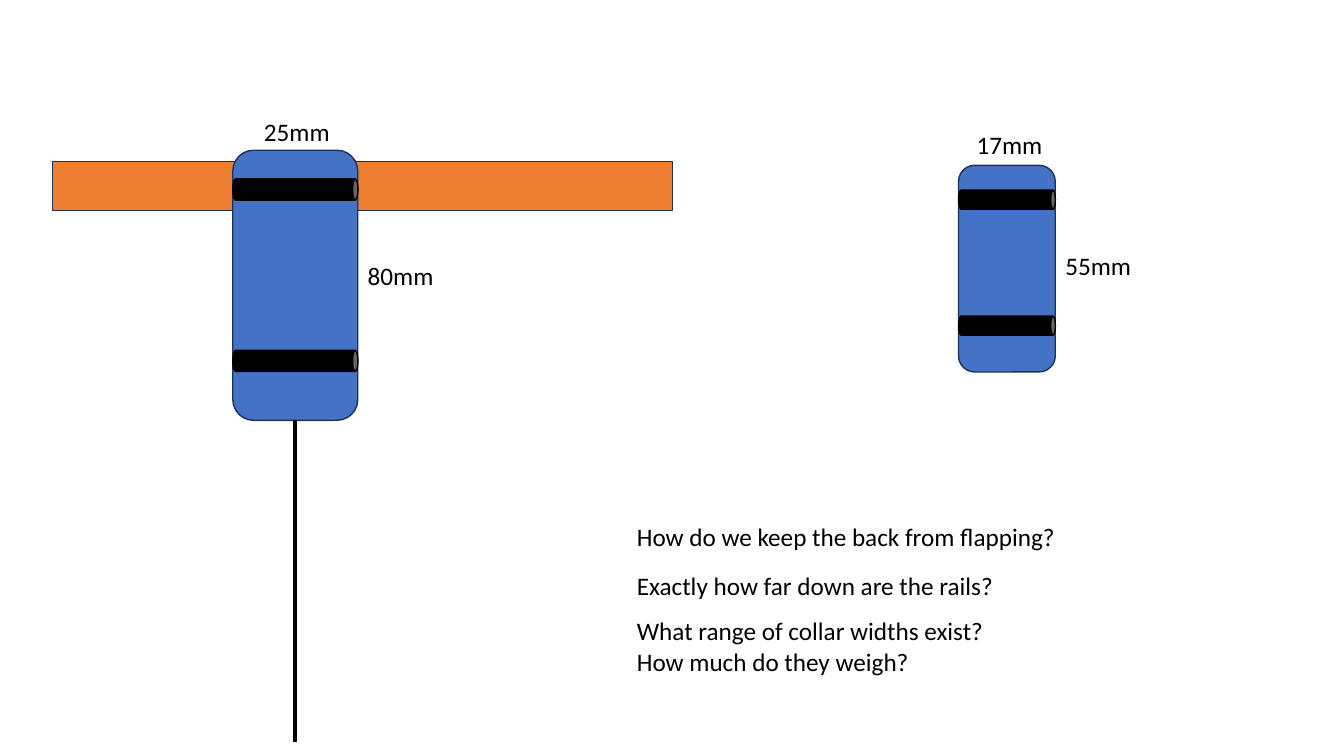
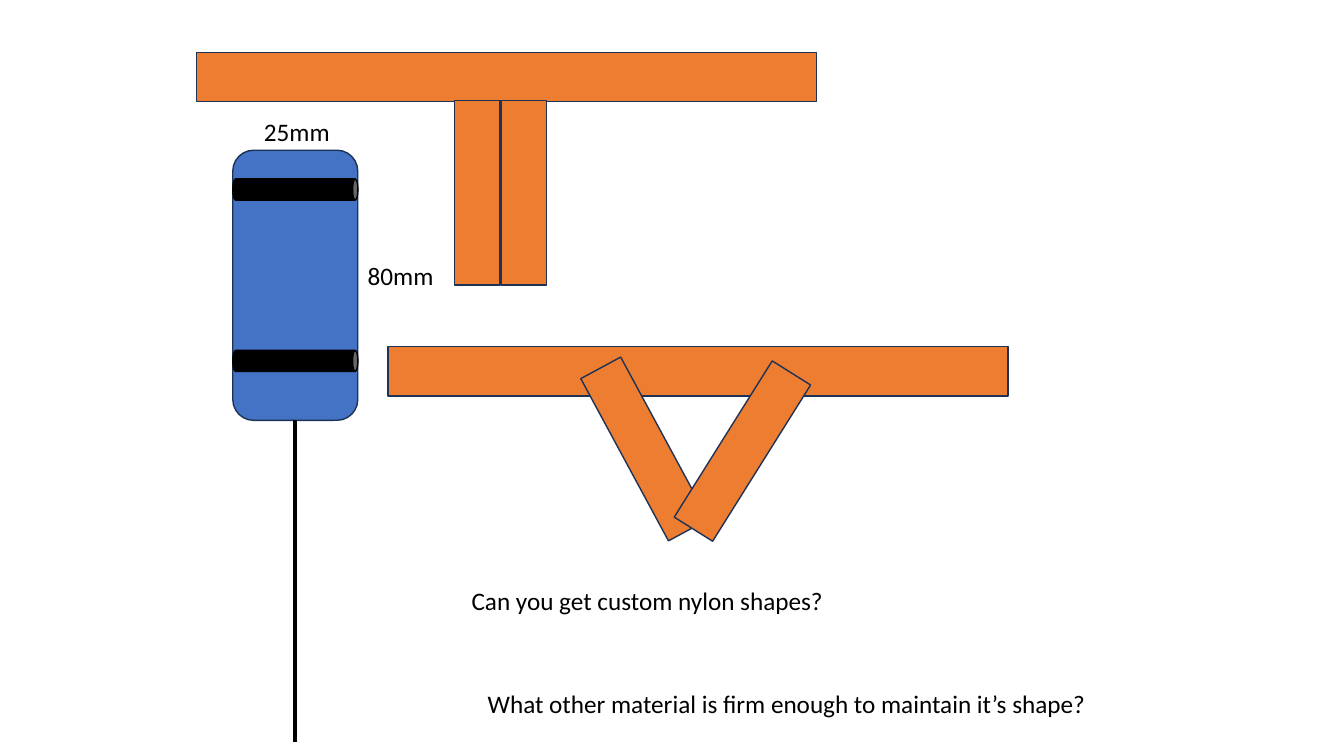
from dataclasses import dataclass

from lxml import etree
from pptx import Presentation
from pptx.dml.color import RGBColor
from pptx.enum import shapes, text
from pptx.oxml.ns import qn
from pptx.util import Pt

ORANGE, BLUE, BLACK, OUTLINE = "ED7D31", "4472C4", "000000", "1E3256"
KIND = shapes.MSO_SHAPE
BAR_WIDTH, BAR_HEIGHT = 442.8, 35.28
STRIP_LENGTH, STRIP_THICKNESS = 131.76, 32.4
LABEL_WIDTH, LINE_HEIGHT = 103.68, 28.8
STRAP_END = 529.92


@dataclass(frozen=True)
class Tag:
    """A collar tag with two rails; rail places are distances from its top."""
    left: float
    top: float
    width: float
    height: float
    rails: tuple[float, float]
    rail_thickness: float
    width_label: str
    width_label_at: tuple[float, float]
    height_label: str
    height_label_top: float
    strap: bool = False


@dataclass(frozen=True)
class Strip:
    center_x: float
    center_y: float
    angle: float


@dataclass(frozen=True)
class Question:
    words: str
    left: float
    top: float
    width: float
    height: float = LINE_HEIGHT


# Shared helpers
def color(hex_value: str) -> RGBColor:
    return RGBColor.from_string(hex_value)


def add_text(page, words: str, left: float, top: float, width: float,
             height: float = LINE_HEIGHT, *, size: float = 18,
             font: str = "Calibri", ink: str = BLACK) -> None:
    box = page.shapes.add_textbox(Pt(left), Pt(top), Pt(width), Pt(height))
    frame = box.text_frame
    frame.word_wrap = True
    frame.auto_size = text.MSO_AUTO_SIZE.SHAPE_TO_FIT_TEXT
    span = frame.paragraphs[0].add_run()
    span.text = words
    span.font.size = Pt(size)
    span.font.name = font
    span.font.color.rgb = color(ink)


def add_block(page, kind, left: float, top: float, width: float, height: float,
              *, fill: str, line: str = OUTLINE, angle: float = 0) -> None:
    block = page.shapes.add_shape(kind, Pt(left), Pt(top), Pt(width), Pt(height))
    block.shadow.inherit = False
    block.fill.solid()
    block.fill.fore_color.rgb = color(fill)
    block.line.color.rgb = color(line)
    block.line.width = Pt(1)
    block.rotation = angle


def add_strap(page, x: float, top: float, bottom: float) -> None:
    strap = page.shapes.add_connector(
        shapes.MSO_CONNECTOR.STRAIGHT, Pt(x), Pt(top), Pt(x), Pt(bottom))
    strap.line.color.rgb = color(BLACK)
    strap.line.width = Pt(3)
    etree.SubElement(strap._element.spPr, qn("a:effectLst"))


def add_bar(page, left: float, top: float) -> None:
    add_block(page, KIND.RECTANGLE, left, top, BAR_WIDTH, BAR_HEIGHT, fill=ORANGE)


def add_strip(page, strip: Strip) -> None:
    add_block(page, KIND.RECTANGLE, strip.center_x - STRIP_LENGTH / 2,
              strip.center_y - STRIP_THICKNESS / 2, STRIP_LENGTH,
              STRIP_THICKNESS, fill=ORANGE, angle=strip.angle)


def add_tag(page, tag: Tag) -> None:
    add_block(page, KIND.ROUNDED_RECTANGLE, tag.left, tag.top, tag.width,
              tag.height, fill=BLUE)
    middle = tag.left + tag.width / 2
    if tag.strap:
        add_strap(page, middle, tag.top + tag.height, STRAP_END)
    for rail in tag.rails:
        # A standing cylinder, turned to lie across the tag
        add_block(page, KIND.CAN, middle - tag.rail_thickness / 2,
                  tag.top + rail - tag.width / 2, tag.rail_thickness,
                  tag.width, fill=BLACK, line=BLACK, angle=90)
    add_text(page, tag.height_label, tag.left + tag.width,
             tag.height_label_top, LABEL_WIDTH)
    add_text(page, tag.width_label, *tag.width_label_at, LABEL_WIDTH)


def add_questions(page, questions: list[Question]) -> None:
    for question in questions:
        add_text(page, question.words, question.left, question.top,
                 question.width, question.height)


LARGE_TAG = Tag(166.32, 107.28, 89.28, 192.96, (28.08, 150.48), 15.12,
                "25mm", (181.44, 79.2), "80mm", 182.16, strap=True)
SMALL_TAG = Tag(684.72, 118.08, 69.12, 147.6, (24.48, 114.48), 13.68,
                "17mm", (690.48, 88.56), "55mm", 174.96)

deck = Presentation()
deck.slide_width, deck.slide_height = Pt(960), Pt(540)
blank = deck.slide_layouts[6]

# Slide 1: tag sizes
page = deck.slides.add_slide(blank)
add_bar(page, 37.44, 115.2)
add_tag(page, LARGE_TAG)
add_tag(page, SMALL_TAG)
add_questions(page, [
    Question("How do we keep the back from flapping?", 447.84, 368.64, 345.6),
    Question("Exactly how far down are the rails?", 447.84, 403.92, 271.44),
    Question("What range of collar widths exist? How much do they weigh?",
             447.84, 436.32, 271.44, 51.12),
])

# Slide 2: folded strips
page = deck.slides.add_slide(blank)
add_bar(page, 140.4, 37.44)
add_tag(page, LARGE_TAG)
for strip in (Strip(340.92, 137.88, 90), Strip(374.04, 137.88, 90)):
    add_strip(page, strip)
add_bar(page, 277.2, 247.68)
for strip in (Strip(460.44, 320.76, 61.6), Strip(530.28, 322.2, 122.1)):
    add_strip(page, strip)
add_questions(page, [
    Question("Can you get custom nylon shapes?", 329.76, 414.72, 300.24),
    Question("What other material is firm enough to maintain it’s shape?",
             341.28, 488.16, 504),
])

deck.save("out.pptx")
